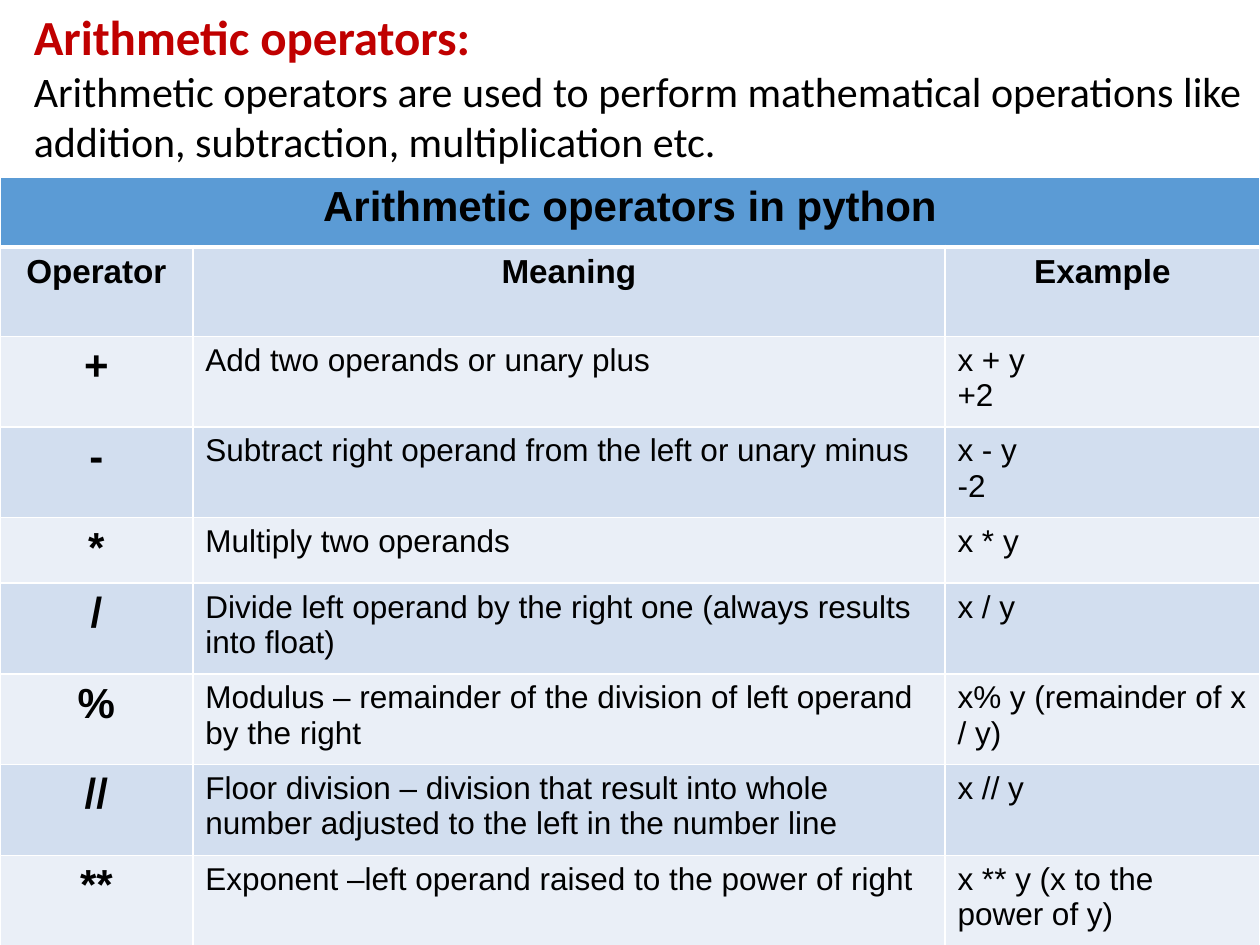
"""Build a slide that lists the arithmetic operators of Python in a table."""
from dataclasses import dataclass

import pptx
import pptx.dml.color
import pptx.enum.text
import pptx.oxml
import pptx.oxml.ns
import pptx.util

Inches = pptx.util.Inches
Color = pptx.dml.color.RGBColor
Align = pptx.enum.text.PP_ALIGN

RED = Color(0xC0, 0x00, 0x00)
BLACK = Color(0x00, 0x00, 0x00)
WHITE = Color(0xFF, 0xFF, 0xFF)
BLUE = Color(0x5B, 0x9B, 0xD5)
MID = Color(0xD2, 0xDE, 0xEF)
PALE = Color(0xEA, 0xEF, 0xF7)

WIDTHS = (1.53, 5.97, 2.5)
TITLE = "Arithmetic operators in python"
HEADS = ("Operator", "Meaning", "Example")


@dataclass(frozen=True)
class Entry:
    sign: str
    meaning: str
    sample: str
    height: float = 0.72


ENTRIES = (
    Entry("+", "Add two operands or unary plus", "x + y\n+2"),
    Entry("-", "Subtract right operand from the left or unary minus", "x - y\n-2"),
    Entry("*", "Multiply two operands", "x * y", height=0.52),
    Entry("/", "Divide left operand by the right one (always results into float)",
          "x / y"),
    Entry("%", "Modulus – remainder of the division of left operand by the right",
          "x% y (remainder of x / y)"),
    Entry("//", "Floor division – division that result into whole number "
          "adjusted to the left in the number line", "x // y"),
    Entry("**", "Exponent –left operand raised to the power of right",
          "x ** y (x to the power of y)"),
)


def write(frame, text: str, *, size: float, font: str = "Arial",
          color: Color = BLACK, bold: bool = False,
          align: Align = Align.LEFT, more: bool = False) -> None:
    for index, line in enumerate(text.split("\n")):
        para = frame.add_paragraph() if more or index else frame.paragraphs[0]
        para.alignment = align
        run = para.add_run()
        run.text = line
        run.font.name = font
        run.font.size = pptx.util.Pt(size)
        run.font.bold = bold
        run.font.color.rgb = color


def edge(cell, side: str, width: float) -> None:
    space = pptx.oxml.ns.nsdecls("a")
    cell._tc.get_or_add_tcPr().append(pptx.oxml.parse_xml(
        f'<a:ln{side} {space} w="{pptx.util.Pt(width)}"><a:solidFill>'
        f'<a:srgbClr val="{WHITE}"/></a:solidFill></a:ln{side}>'))


def paint(cell, fill: Color, top: float = 1, bottom: float = 1) -> None:
    for side, width in (("L", 1), ("R", 1), ("T", top), ("B", bottom)):
        edge(cell, side, width)
    cell.fill.solid()
    cell.fill.fore_color.rgb = fill


def intro(slide) -> None:
    box = slide.shapes.add_textbox(Inches(0.17), 0, Inches(9.83), Inches(1.38))
    frame = box.text_frame
    frame.word_wrap = True
    write(frame, "Arithmetic operators:", size=28, font="Calibri",
          color=RED, bold=True)
    write(frame, "Arithmetic operators are used to perform mathematical "
          "operations like addition, subtraction, multiplication etc.",
          size=24, font="Calibri", more=True)


def chart(slide) -> None:
    heights = (0.55, 0.71, *(entry.height for entry in ENTRIES))
    table = slide.shapes.add_table(
        len(heights), len(WIDTHS), 0, Inches(1.41),
        Inches(sum(WIDTHS)), Inches(sum(heights))).table
    for column, width in zip(table.columns, WIDTHS):
        column.width = Inches(width)
    for row, height in zip(table.rows, heights):
        row.height = Inches(height)

    for cell in table.rows[0].cells:
        paint(cell, BLUE, bottom=3)
    first = table.cell(0, 0)
    first.merge(table.cell(0, len(WIDTHS) - 1))
    write(first.text_frame, TITLE, size=24, bold=True, align=Align.CENTER)

    for cell, head in zip(table.rows[1].cells, HEADS):
        paint(cell, MID, top=3)
        write(cell.text_frame, head, size=19, bold=True, align=Align.CENTER)

    for index, entry in enumerate(ENTRIES):
        cells = list(table.rows[index + 2].cells)
        for cell in cells:
            paint(cell, MID if index % 2 else PALE)
        write(cells[0].text_frame, entry.sign, size=24, bold=True,
              align=Align.CENTER)
        write(cells[1].text_frame, entry.meaning, size=18)
        write(cells[2].text_frame, entry.sample, size=18)


def main() -> None:
    deck = pptx.Presentation()
    deck.slide_width, deck.slide_height = Inches(10), Inches(7.5)
    slide = deck.slides.add_slide(deck.slide_layouts[6])
    intro(slide)
    chart(slide)
    deck.save("out.pptx")


if __name__ == "__main__":
    main()
